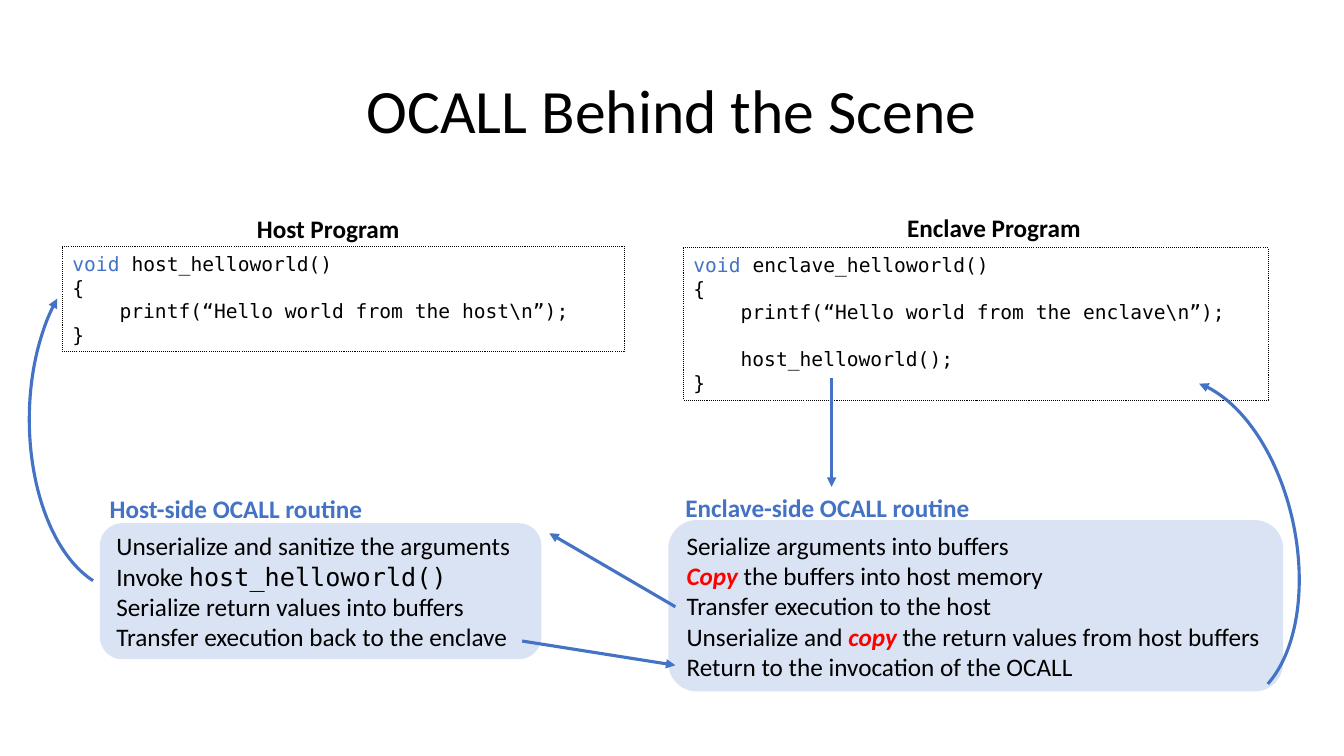
"""Build the slide that shows how an OCALL travels between enclave and host."""
from pptx import Presentation
from pptx.dml.color import RGBColor
from pptx.enum.dml import MSO_LINE
from pptx.enum.shapes import MSO_CONNECTOR, MSO_SHAPE
from pptx.enum.text import MSO_ANCHOR, MSO_AUTO_SIZE, PP_ALIGN
from pptx.oxml.ns import qn
from pptx.util import Pt
from lxml.etree import SubElement

BLACK, BLUE, PALE, RED = "000000", "4472C4", "DAE3F3", "FF0000"
SANS, MONO = "Calibri", "DejaVu Sans Mono"


def color(value):
    """Turn a hex string into a colour."""
    return RGBColor.from_string(value)


def write(frame, lines, size, font=SANS, ink=BLACK, bold=False):
    """Fill a frame with lines, each a list of (text, format changes) pieces."""
    frame.word_wrap = True
    for number, line in enumerate(lines):
        paragraph = frame.add_paragraph() if number else frame.paragraphs[0]
        paragraph.alignment = PP_ALIGN.LEFT
        paragraph.font.size = Pt(size)
        for piece, changes in line:
            run = paragraph.add_run()
            run.text = piece
            run.font.size = Pt(size)
            run.font.name = changes.get("font", font)
            run.font.color.rgb = color(changes.get("ink", ink))
            run.font.bold = changes.get("strong", bold)
            run.font.italic = changes.get("strong", False)


deck = Presentation()
deck.slide_width, deck.slide_height = Pt(960), Pt(540)
slide = deck.slides.add_slide(deck.slide_layouts[5])
shapes = slide.shapes

title = shapes.title
title.left, title.top, title.width, title.height = Pt(66), Pt(28.8), Pt(828), Pt(104.4)
title.text_frame.text = "OCALL Behind the Scene"
title.text_frame.vertical_anchor = MSO_ANCHOR.MIDDLE
heading = title.text_frame.paragraphs[0]
heading.alignment = PP_ALIGN.CENTER
heading.line_spacing = 0.9
heading.runs[0].font.size = Pt(44)
heading.runs[0].font.name = SANS
heading.runs[0].font.color.rgb = color(BLACK)

programs = [
    ((44.6, 176.4, 401.8, 74.9), "host_helloworld()",
     ["{", "    printf(“Hello world from the host\\n”);", "}"]),
    ((488.2, 177.1, 417.6, 108.7), "enclave_helloworld()",
     ["{", "    printf(“Hello world from the enclave\\n”);", "",
      "    host_helloworld();", "}"]),
]
for place, function, body in programs:
    program = shapes.add_shape(MSO_SHAPE.RECTANGLE, *map(Pt, place))
    program.shadow.inherit = False
    program.fill.background()
    program.line.color.rgb = color(BLACK)
    program.line.width = Pt(0.75)
    program.line.dash_style = MSO_LINE.ROUND_DOT
    program.text_frame.vertical_anchor = MSO_ANCHOR.TOP
    signature = [("void ", {"ink": BLUE}), (function, {})]
    code = [signature] + [[(row, {})] if row else [] for row in body]
    write(program.text_frame, code, 14, MONO)
    program.text_frame.auto_size = MSO_AUTO_SIZE.SHAPE_TO_FIT_TEXT

copy_mark = {"ink": RED, "strong": True}
routines = [
    ((71.3, 373.7, 315.4, 97.2), [
        [("Unserialize and sanitize the arguments", {})],
        [("Invoke ", {}), ("host_helloworld()", {"font": MONO})],
        [("Serialize return values into buffers", {})],
        [("Transfer execution back to the enclave", {})],
    ]),
    ((477.4, 371.5, 439.2, 122.4), [
        [("Serialize arguments into buffers", {})],
        [("Copy", copy_mark), (" the buffers into host memory", {})],
        [("Transfer execution to the host", {})],
        [("Unserialize and ", {}), ("copy", copy_mark),
         (" the return values from host buffers", {})],
        [("Return to the invocation of the OCALL", {})],
    ]),
]
for place, steps in routines:
    routine = shapes.add_shape(MSO_SHAPE.ROUNDED_RECTANGLE, *map(Pt, place))
    routine.shadow.inherit = False
    routine.fill.solid()
    routine.fill.fore_color.rgb = color(PALE)
    routine.line.fill.background()
    routine.text_frame.vertical_anchor = MSO_ANCHOR.MIDDLE
    write(routine.text_frame, steps, 18)

captions = [
    ("Host Program", 176.4, 149, 145.4, BLACK),
    ("Enclave Program", 640.8, 148.3, 145.4, BLACK),
    ("Host-side OCALL routine", 71.3, 348.5, 213.1, BLUE),
    ("Enclave-side OCALL routine", 482.4, 347.8, 223.9, BLUE),
]
for label, left, top, width, ink in captions:
    caption = shapes.add_textbox(Pt(left), Pt(top), Pt(width), Pt(28.8))
    write(caption.text_frame, [[(label, {})]], 18, ink=ink, bold=True)
    caption.text_frame.auto_size = MSO_AUTO_SIZE.SHAPE_TO_FIT_TEXT

arrows = []
arcs = [
    ((787.7, 269.3, 137.5, 236.9), 348, (169.23, 45.6), "a:headEnd"),
    ((20.9, 177.1, 137.5, 244.8), 180, (168.84, 36.31), "a:tailEnd"),
]
for place, turn, angles, end in arcs:
    arc = shapes.add_shape(MSO_SHAPE.ARC, *map(Pt, place))
    arc.shadow.inherit = False
    arc.fill.background()
    arc.rotation = turn
    arc.adjustments[0], arc.adjustments[1] = angles
    arrows.append((arc, end))

calls = [
    (373, 457.9, 482.4, 475.2),
    (482.4, 433.4, 392.4, 380.9),
    (594, 270, 594, 347.8),
]
for ends in calls:
    call = shapes.add_connector(MSO_CONNECTOR.STRAIGHT, *map(Pt, ends))
    arrows.append((call, "a:tailEnd"))

for arrow, end in arrows:
    arrow.line.color.rgb = color(BLUE)
    arrow.line.width = Pt(2.25)
    SubElement(arrow.line._get_or_add_ln(), qn(end), type="triangle")
    properties = arrow._element.spPr
    if properties.find(qn("a:effectLst")) is None:
        SubElement(properties, qn("a:effectLst"))

deck.save("out.pptx")
